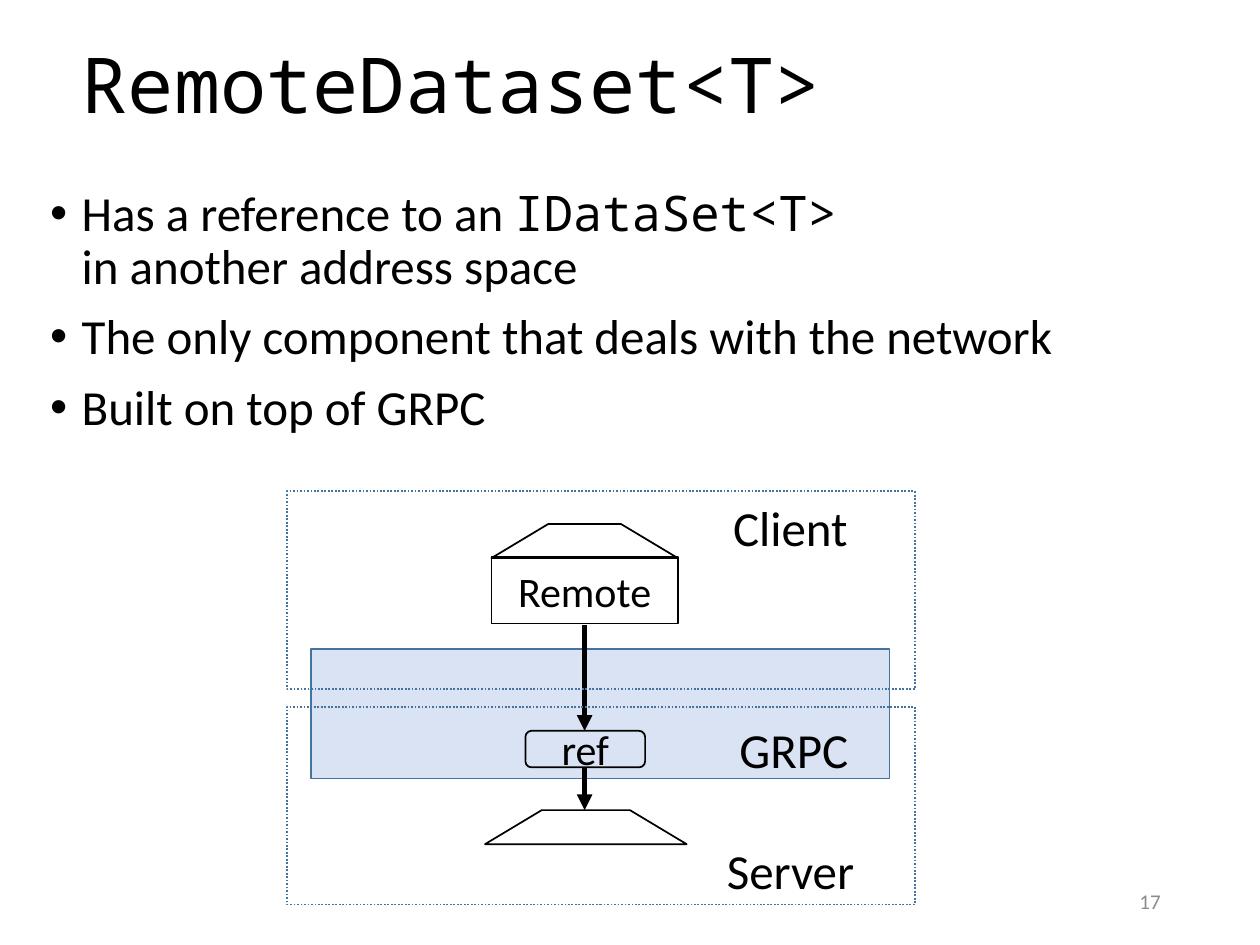
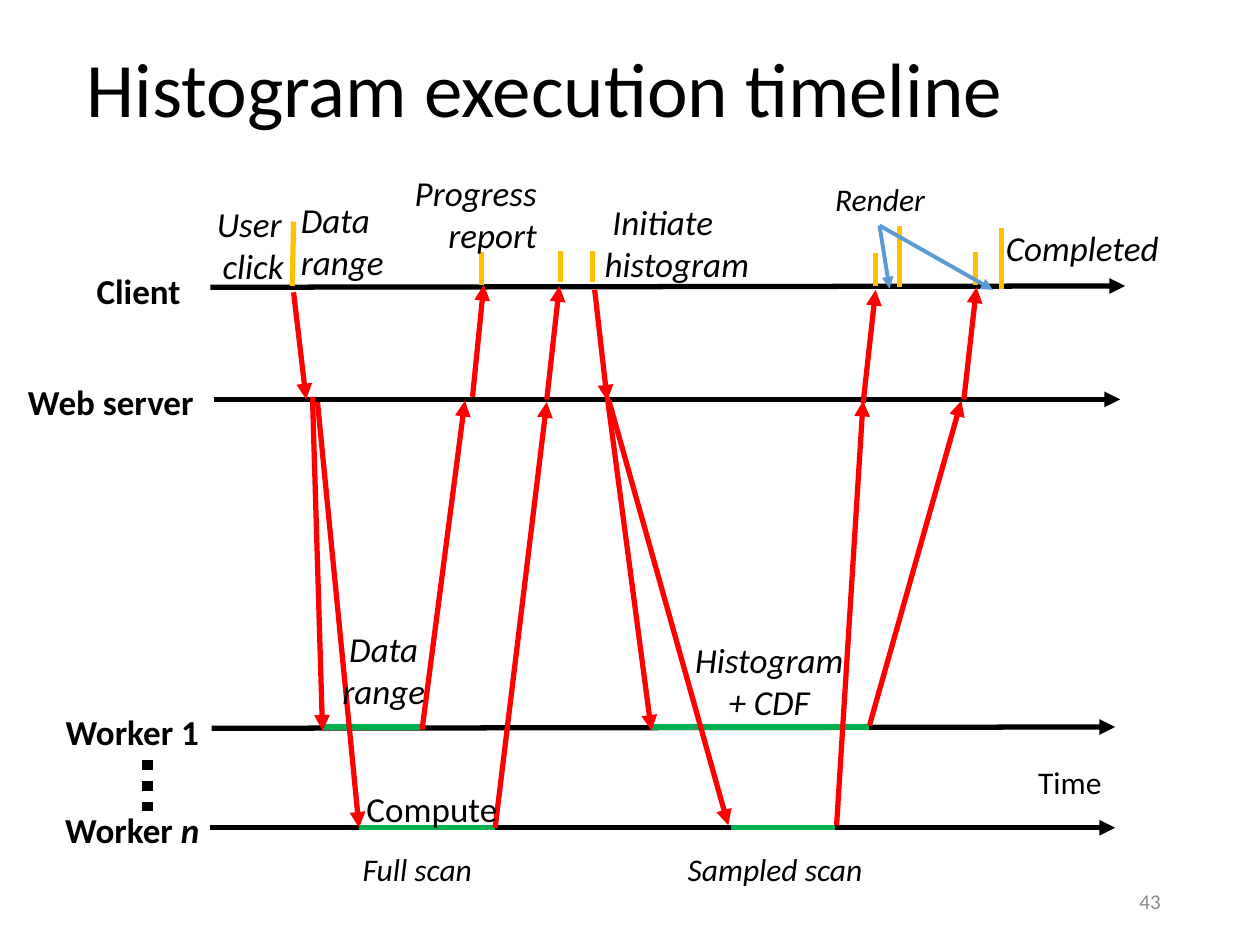
from lxml import etree
from pptx import Presentation
from pptx.dml.color import RGBColor
from pptx.enum.dml import MSO_LINE
from pptx.enum.shapes import MSO_CONNECTOR, MSO_SHAPE
from pptx.enum.text import MSO_ANCHOR, MSO_AUTO_SIZE, PP_ALIGN
from pptx.oxml.ns import qn
from pptx.util import Inches, Pt

STRAIGHT = MSO_CONNECTOR.STRAIGHT
DOTTED = MSO_LINE.ROUND_DOT
RECTANGLE = MSO_SHAPE.RECTANGLE
ROUNDED = MSO_SHAPE.ROUNDED_RECTANGLE
TRAPEZOID = MSO_SHAPE.TRAPEZOID
TOP, MIDDLE = MSO_ANCHOR.TOP, MSO_ANCHOR.MIDDLE
LEFT, CENTER, RIGHT = PP_ALIGN.LEFT, PP_ALIGN.CENTER, PP_ALIGN.RIGHT
FIT_SHAPE = MSO_AUTO_SIZE.SHAPE_TO_FIT_TEXT

COLORS = {
    "black": "000000", "gray": "8C8C8C", "border": "43739E", "layer": "DAE3F3",
    "message": "FF0000", "work": "00B050", "event": "FFC000", "render": "5B9BD5",
}
SANS, MONO = "Calibri", "Noto Sans Mono"

TITLE = {"size": Pt(44)}
BODY = {"size": Pt(28)}
NODE = {"size": Pt(24)}
LANE = {"size": Pt(20), "bold": True}
STEP = {"size": Pt(20), "italic": True}
PHASE = {"size": Pt(18), "italic": True}
FOOTER = {"size": Pt(12)}

CLIENT_Y, SERVER_Y, WORKER_1_Y, WORKER_N_Y = 2.27, 3.17, 5.77, 6.57


def color(name):
    return RGBColor.from_string(COLORS[name])


def apply(target, values):
    for name, value in values.items():
        setattr(target, name, value)


def inches(lengths):
    return [Inches(length) for length in lengths]


def add_spans(para, spans, style, color_name="black"):
    for text, changes in spans:
        for index, line in enumerate(text.split("\n")):
            if index:
                para.add_line_break()
            span = para.add_run()
            span.text = line
            apply(span.font, {"name": SANS, **style, **changes})
            span.font.color.rgb = color(color_name)


def add_text(page, place, paras, style, align=LEFT, anchor=TOP, wrap=True,
             grow=True, color_name="black", bulleted=False):
    box = page.shapes.add_textbox(*inches(place))
    frame = box.text_frame
    apply(frame, {"word_wrap": wrap, "vertical_anchor": anchor})
    if grow:
        frame.auto_size = FIT_SHAPE
    for index, content in enumerate(paras):
        para = frame.paragraphs[0] if index == 0 else frame.add_paragraph()
        if bulleted:
            add_bullet(para)
            apply(para, {"line_spacing": 0.9, "space_before": Pt(10 if index else 0)})
        para.alignment = align
        spans = [(content, {})] if isinstance(content, str) else content
        add_spans(para, spans, style, color_name)
    return box


def add_bullet(para):
    properties = para._p.get_or_add_pPr()
    properties.set("marL", str(Inches(0.25)))
    properties.set("indent", str(-Inches(0.25)))
    font = etree.SubElement(properties, qn("a:buFont"))
    font.set("typeface", "Arial")
    etree.SubElement(properties, qn("a:buChar")).set("char", "•")


def add_title(page, text, place, font=SANS):
    box = add_text(page, place, [text], {**TITLE, "name": font}, anchor=MIDDLE, grow=False)
    box.text_frame.paragraphs[0].line_spacing = 0.9


def add_page_number(page, number):
    add_text(page, (7.06, 6.95, 2.25, 0.4), [number], FOOTER, RIGHT, MIDDLE,
             grow=False, color_name="gray")


def add_block(shapes, kind, place, text="", line="black", fill=None, dash=None, wrap=True):
    block = shapes.add_shape(kind, *inches(place))
    block.shadow.inherit = False
    if fill:
        block.fill.solid()
        block.fill.fore_color.rgb = color(fill)
    else:
        block.fill.background()
    block.line.color.rgb = color(line)
    apply(block.line, {"width": Pt(1), "dash_style": dash})
    if kind == TRAPEZOID:
        block.adjustments[0] = 1.667
    if text:
        frame = block.text_frame
        apply(frame, {"word_wrap": wrap, "vertical_anchor": MIDDLE})
        frame.paragraphs[0].alignment = CENTER
        add_spans(frame.paragraphs[0], [(text, {})], NODE)


def add_line(page, ends, color_name="black", width=3, arrow=False, dash=None):
    link = page.shapes.add_connector(STRAIGHT, *inches(ends))
    link.line.color.rgb = color(color_name)
    apply(link.line, {"width": Pt(width), "dash_style": dash})
    if arrow:
        outline = link.line._get_or_add_ln()
        etree.SubElement(outline, qn("a:tailEnd")).set("type", "triangle")
    etree.SubElement(link._element.spPr, qn("a:effectLst"))


def add_lines(page, lines, color_name="black", **options):
    for ends in lines:
        add_line(page, ends, color_name, **options)


def build_remote_dataset(page):
    add_title(page, "RemoteDataset<T>", (0.55, 0.28, 6.47, 0.84), MONO)
    add_text(page, (0.3, 1.45, 9.59, 4.56), [
        [("Has a reference to an ", {}), ("IDataSet<T>\n", {"name": MONO}),
         ("in another address space", {})],
        "The only component that deals with the network",
        "Built on top of GRPC",
    ], BODY, grow=False, bulleted=True)

    add_block(page.shapes, RECTANGLE, (2.47, 5.15, 4.59, 1.03), line="border", fill="layer")
    remote = page.shapes.add_group_shape()
    add_block(remote.shapes, TRAPEZOID, (3.9, 4.16, 1.48, 0.27))
    add_block(remote.shapes, RECTANGLE, (3.9, 4.42, 1.48, 0.53), "Remote", wrap=False)
    add_block(page.shapes, ROUNDED, (4.17, 5.8, 0.95, 0.29), "ref")
    add_block(page.shapes, TRAPEZOID, (3.85, 6.43, 1.6, 0.27))
    add_lines(page, [(4.64, 4.96, 4.64, 5.8), (4.64, 6.09, 4.64, 6.43)], arrow=True)
    for top in (3.9, 5.61):
        add_block(page.shapes, RECTANGLE, (2.28, top, 4.98, 1.57), line="border", dash=DOTTED)
    for text, left, top, width in [
        ("Client", 5.72, 3.9, 1.12),
        ("GRPC", 5.77, 5.66, 1.07),
        ("Server", 5.67, 6.62, 1.22),
    ]:
        add_text(page, (left, top, width, 0.57), [text], BODY, wrap=False)
    add_page_number(page, "17")


def build_timeline_lines(page):
    add_lines(page, [
        (1.67, 2.28, 8.93, CLIENT_Y),
        (1.7, SERVER_Y, 8.89, SERVER_Y),
        (1.68, 5.78, 8.85, WORKER_1_Y),
        (1.67, WORKER_N_Y, 8.85, WORKER_N_Y),
    ], arrow=True)
    add_line(page, (1.17, 6.03, 1.17, 6.44), width=6, dash=DOTTED)

    for start, end, y in [
        (2.56, 3.34, WORKER_1_Y), (5.17, 6.9, WORKER_1_Y),
        (2.85, 3.93, WORKER_N_Y), (5.8, 6.63, WORKER_N_Y),
    ]:
        add_line(page, (start, y, end, y), "work")

    add_lines(page, [
        (2.33, 1.76, 2.32, CLIENT_Y),
        (3.82, 2.26, 3.82, 2), (4.45, 2.24, 4.45, 1.99), (4.7, 2.24, 4.7, 1.99),
        (6.95, 2.27, 6.95, 2.01), (7.14, 2.28, 7.14, 1.79),
        (7.74, 2.26, 7.74, 2), (7.95, 2.29, 7.95, 1.81),
    ], "event")

    requests = [
        (2.33, 2.32, 2.43, SERVER_Y), (4.72, 2.3, 4.82, 3.18),
        (2.48, 3.15, 2.56, 5.8), (2.52, 3.19, 2.85, WORKER_N_Y),
        (4.82, 3.15, 5.17, 5.8), (4.83, SERVER_Y, 5.78, 6.55),
    ]
    replies = [
        (3.35, 5.79, 3.69, 3.18), (3.93, WORKER_N_Y, 4.34, 3.19),
        (6.9, 5.76, 7.63, 3.18), (6.64, 6.55, 6.85, 3.18),
        (3.75, 3.15, 3.84, 2.26), (4.34, SERVER_Y, 4.44, CLIENT_Y),
        (6.85, 3.2, 6.95, 2.3), (7.65, SERVER_Y, 7.75, 2.28),
    ]
    add_lines(page, requests + replies, "message", arrow=True)
    add_lines(page, [(6.98, 1.79, 7.06, 2.29), (6.98, 1.79, 7.88, 2.3)],
              "render", width=2.25, arrow=True)


def build_timeline_labels(page):
    for content, left, top, width in [
        ("Client", 0.53, 2.09, 1.14),
        ("Web server", 0, 2.97, 1.76),
        ("Worker 1", 0.33, 5.59, 1.44),
        ([("Worker ", {}), ("n", {"italic": True})], 0.33, 6.37, 1.44),
    ]:
        add_text(page, (left, top, width, 0.44), [content], LANE, CENTER)

    for paras, left, top, width, align in [
        (["User \nclick"], 1.38, 1.56, 1.26, CENTER),
        (["Data\nrange"], 2.29, 1.53, 0.93, LEFT),
        (["Progress\nreport"], 3.1, 1.31, 1.26, RIGHT),
        ([" Initiate", "histogram"], 4.7, 1.54, 1.59, LEFT),
        (["Data\nrange"], 2.47, 4.93, 1.15, CENTER),
        (["Histogram", "+ CDF"], 5.37, 5.02, 1.47, CENTER),
    ]:
        add_text(page, (left, top, width, 0.77), paras, STEP, align)
    add_text(page, (7.87, 1.75, 1.44, 0.44), ["Completed"], STEP, CENTER)
    add_text(page, (6.41, 1.38, 1.15, 0.4), ["Render"], PHASE, CENTER)

    for text, place, style in [
        ("Compute", (2.81, 6.2, 1.25, 0.44), {"size": Pt(20)}),
        ("Full scan", (2.78, 6.7, 1.08, 0.4), PHASE),
        ("Sampled scan", (5.36, 6.7, 1.61, 0.4), PHASE),
        ("Time", (8.14, 6.01, 0.71, 0.4), {"size": Pt(18)}),
    ]:
        add_text(page, place, [text], style, wrap=False)


def build_histogram_timeline(page):
    add_title(page, "Histogram execution timeline", (0.59, 0.19, 8.62, 1.09))
    build_timeline_lines(page)
    build_timeline_labels(page)
    add_page_number(page, "43")


def main():
    deck = Presentation()
    apply(deck, {"slide_width": Inches(10), "slide_height": Inches(7.5)})
    blank = deck.slide_layouts[6]
    for build in (build_remote_dataset, build_histogram_timeline):
        build(deck.slides.add_slide(blank))
    deck.save("out.pptx")


if __name__ == "__main__":
    main()
